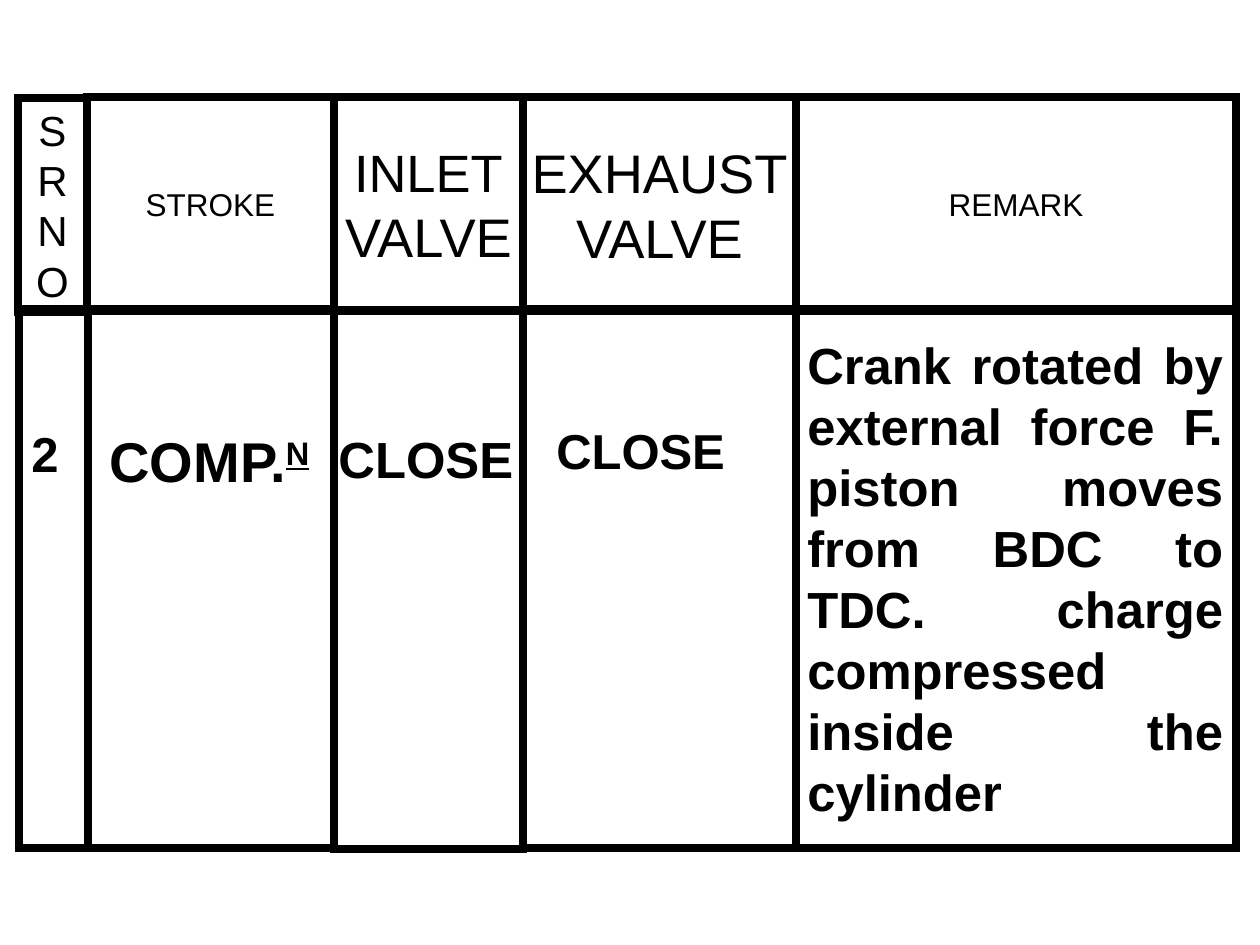
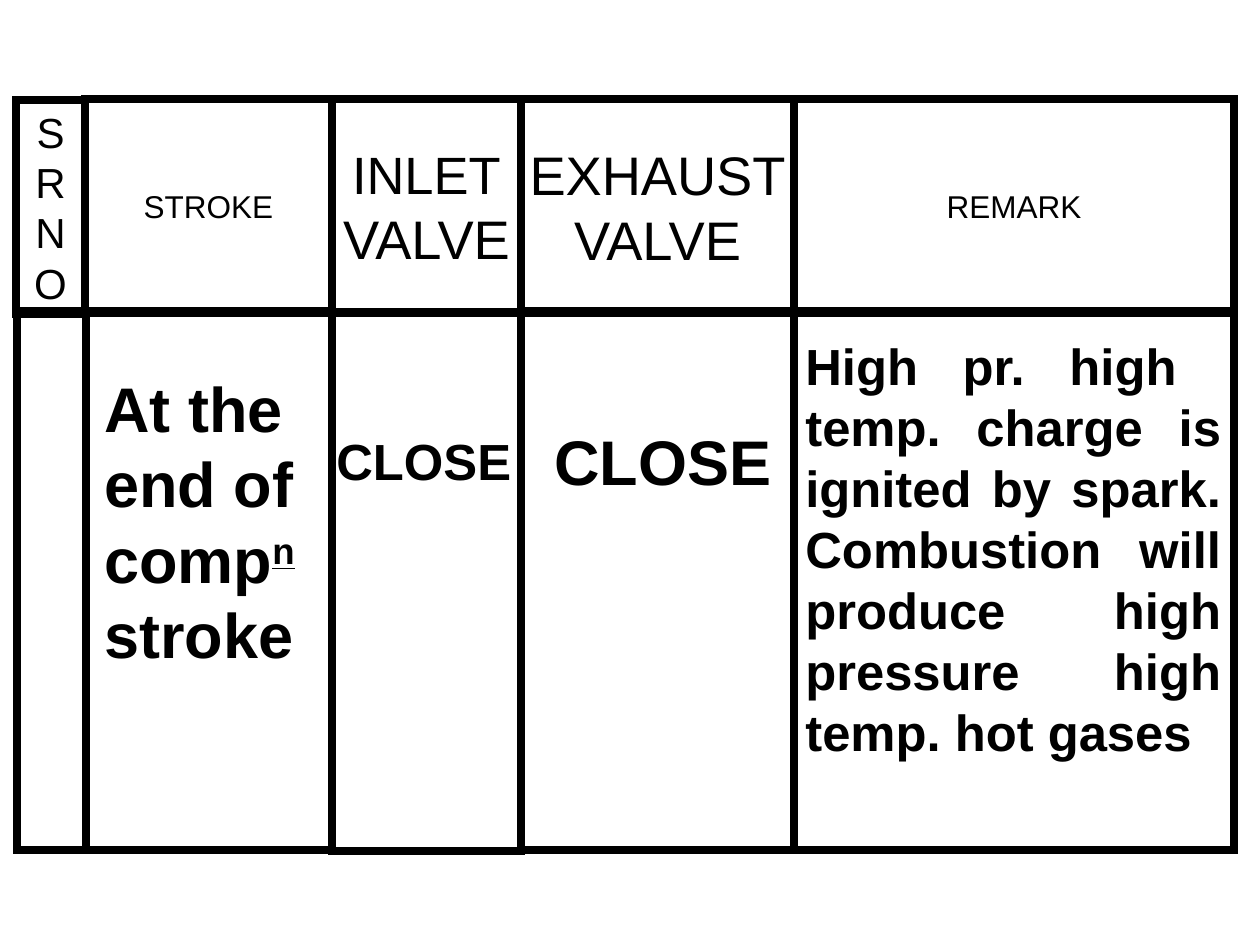
from lxml.etree import SubElement
from pptx import Presentation
from pptx.dml.color import RGBColor
from pptx.enum.shapes import MSO_SHAPE
from pptx.enum.text import MSO_ANCHOR, MSO_AUTO_SIZE, PP_ALIGN
from pptx.oxml.ns import qn
from pptx.util import Pt

BLACK = RGBColor(0, 0, 0)
FONT = "Arial"
PX = 914400 / 126  # EMU in one px
WIDE, HIGH = 1260, 945

# Grid shared by both slides: column edges, then top and height of each row
EDGES = [18, 87, 334, 523, 796, 1236]
HEAD_TOP, HEAD_HIGH = 97, 214
BODY_TOP, BODY_HIGH = 309, 539

# Header cells: lines of (text, size)
HEADS = [
    [("S", 24), ("R", 24), ("N", 24), ("O", 24)],
    [("STROKE", 18)],
    [("INLET", 30), ("VALVE", 31)],
    [("EXHAUST", 31), ("VALVE", 31)],
    [("REMARK", 18)],
]

# Each slide: shift of the grid, then notes as (box, size, lines, wrap, align).
# A line is plain text, or a pair of text and underlined superscript.
LEFT, FULL = PP_ALIGN.LEFT, PP_ALIGN.JUSTIFY
SLIDES = [
    ((0, 0), [
        ((19, 417, 53, 72), 28, ["2"], False, LEFT),
        ((544, 414, 195, 72), 28, ["CLOSE"], False, LEFT),
        ((795, 328, 441, 505), 29,
         ["Crank rotated by external force F. piston moves from BDC to TDC. "
          "charge compressed inside the cylinder"], True, FULL),
        ((97, 420, 271, 81), 32, [("COMP.", "N")], True, LEFT),
        ((326, 422, 200, 73), 29, ["CLOSE"], False, LEFT),
    ]),
    ((-2, 2), [
        ((542, 416, 244, 89), 36, ["CLOSE"], False, LEFT),
        ((793, 329, 441, 444), 29,
         ["High pr. high  temp. charge is ignited by spark. Combustion will "
          "produce high pressure high temp. hot gases"], True, FULL),
        ((324, 424, 200, 73), 29, ["CLOSE"], False, LEFT),
        ((92, 363, 234, 318), 36,
         ["At the", "end of", ("comp", "n"), "stroke"], False, LEFT),
    ]),
]


def emu(*nums):
    return [round(n * PX) for n in nums]


def write(para, text, size=18, bold=False, raised=False):
    """Add one run of text."""
    run = para.add_run()
    run.text = text
    font = run.font
    font.name, font.size, font.bold = FONT, Pt(size), bold
    font.color.rgb = BLACK
    if raised:
        font.underline = True
        font._element.set("baseline", "30000")


def lines(frame, rows, align):
    """Yield a paragraph for each row."""
    for i, row in enumerate(rows):
        para = frame.add_paragraph() if i else frame.paragraphs[0]
        para.alignment = align
        yield para, row


def cell(group, box, rows=()):
    """Draw an open black frame with centred lines."""
    rect = group.shapes.add_shape(MSO_SHAPE.RECTANGLE, *emu(*box))
    rect.shadow.inherit = False
    rect.fill.background()
    rect.line.color.rgb = BLACK
    rect.line.width = Pt(4.5)
    SubElement(rect.line._ln, qn("a:miter"), lim="800000")
    frame = rect.text_frame
    frame.word_wrap = False
    frame.vertical_anchor = MSO_ANCHOR.MIDDLE
    for para, (text, size) in lines(frame, rows, PP_ALIGN.CENTER):
        write(para, text, size=size)


def grid(slide, dx, dy):
    """Draw the header row and the empty body row."""
    group = slide.shapes.add_group_shape()
    spans = list(zip(EDGES, EDGES[1:]))
    for i, ((x, end), rows) in enumerate(zip(spans, HEADS)):
        drop = 1 if i == 0 else 0
        cell(group, (x + dx, HEAD_TOP + drop + dy, end - x, HEAD_HIGH), rows)
    for i, (x, end) in reversed(list(enumerate(spans))):
        nudge = 1 if i < 2 else 0  # first two columns sit a little right
        drop = 1 if i == 2 else 0
        right = end + (1 if i == 0 else 0)
        cell(group, (x + nudge + dx, BODY_TOP + drop + dy,
                     right - x - nudge, BODY_HIGH))


def note(slide, box, size, rows, wrap, align):
    """Place bold text over the body row."""
    frame = slide.shapes.add_textbox(*emu(*box)).text_frame
    frame.word_wrap = wrap
    frame.auto_size = MSO_AUTO_SIZE.SHAPE_TO_FIT_TEXT
    for para, row in lines(frame, rows, align):
        base, *top = [row] if isinstance(row, str) else row
        write(para, base, size=size, bold=True)
        for text in top:
            write(para, text, size=size, bold=True, raised=True)


def main():
    deck = Presentation()
    deck.slide_width, deck.slide_height = emu(WIDE, HIGH)
    for shift, notes in SLIDES:
        slide = deck.slides.add_slide(deck.slide_layouts[6])
        grid(slide, *shift)
        for item in notes:
            note(slide, *item)
    deck.save("out.pptx")


if __name__ == "__main__":
    main()
